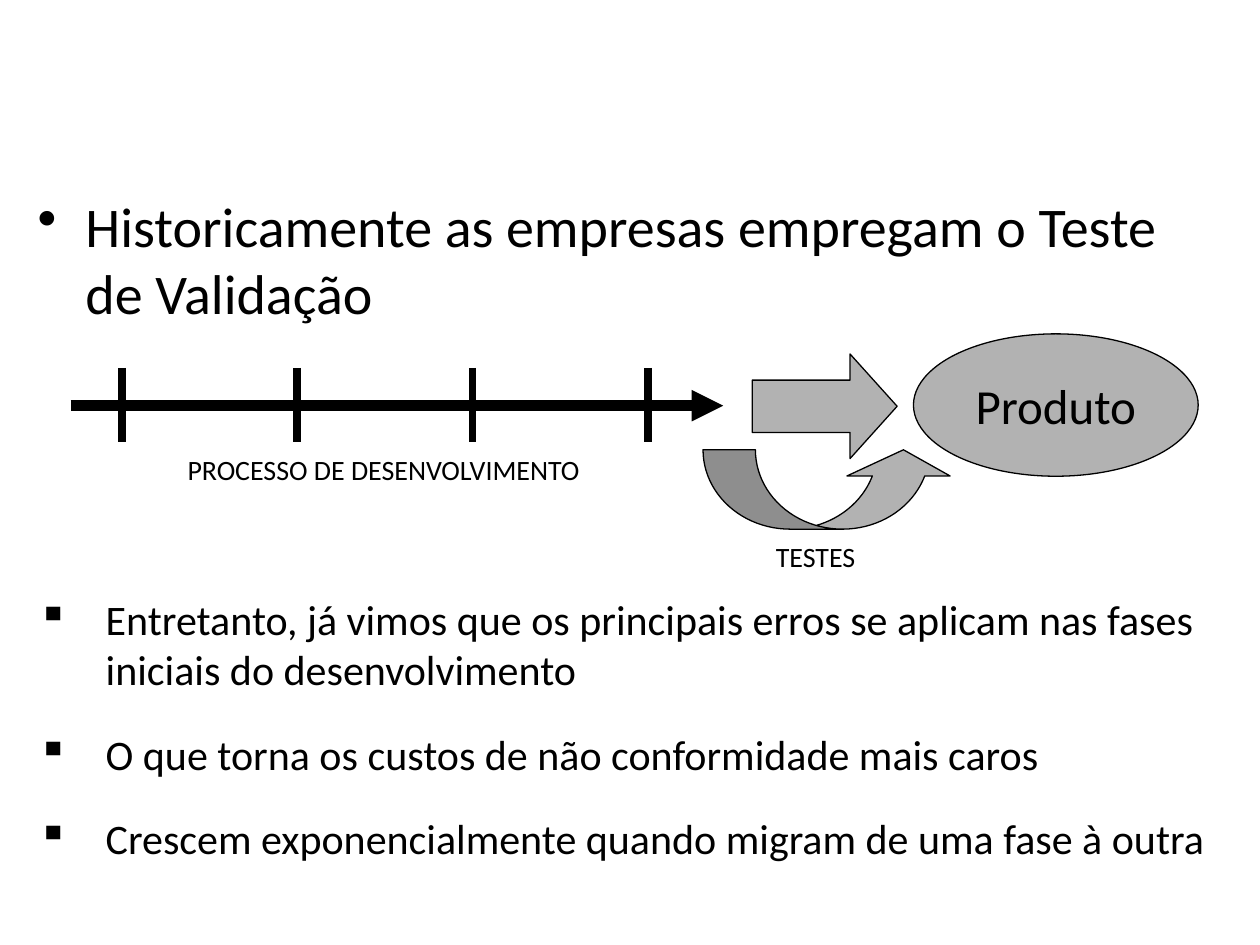
from lxml import etree
from pptx import Presentation
from pptx.dml.color import RGBColor
from pptx.enum.shapes import MSO_CONNECTOR, MSO_SHAPE
from pptx.enum.text import MSO_ANCHOR, MSO_AUTO_SIZE, PP_ALIGN
from pptx.oxml.ns import qn
from pptx.util import Inches, Pt

BLACK = RGBColor(0x00, 0x00, 0x00)
GRAY = RGBColor(0xB2, 0xB2, 0xB2)
STRAIGHT = MSO_CONNECTOR.STRAIGHT
ARROW = MSO_SHAPE.RIGHT_ARROW
CURVE = MSO_SHAPE.CURVED_UP_ARROW
OVAL = MSO_SHAPE.OVAL
TOP, MIDDLE = MSO_ANCHOR.TOP, MSO_ANCHOR.MIDDLE
CENTER = PP_ALIGN.CENTER
GROW = MSO_AUTO_SIZE.SHAPE_TO_FIT_TEXT
FONT = "Calibri"
POINTS = [
    "Entretanto, já vimos que os principais erros se aplicam nas fases "
    "iniciais do desenvolvimento",
    "O que torna os custos de não conformidade mais caros",
    "Crescem exponencialmente quando migram de uma fase à outra",
]


def style(font, size):
    """Set the common font in black at the given size."""
    font.name = FONT
    font.size = Pt(size)
    font.color.rgb = BLACK


def add_text(slide, box, lines, size, wrap=True):
    """Add a text box with one paragraph per line and return its paragraphs."""
    frame = slide.shapes.add_textbox(*map(Inches, box)).text_frame
    frame.word_wrap = wrap
    frame.vertical_anchor = TOP
    frame.text = "\n".join(lines)
    for para in frame.paragraphs:
        for run in para.runs:
            style(run.font, size)
    return frame


def add_list(slide, box, lines, size, mark, indent, before=0, after=0):
    """Add a bulleted list with hanging indents."""
    frame = add_text(slide, box, lines, size)
    for i, para in enumerate(frame.paragraphs):
        props = para._p.get_or_add_pPr()
        props.set("marL", str(Inches(indent)))
        props.set("indent", str(-Inches(indent)))
        color = etree.SubElement(props, qn("a:buClr"))
        etree.SubElement(color, qn("a:srgbClr"), val=str(BLACK))
        etree.SubElement(props, qn("a:buChar"), char=mark)
        para.space_before = Pt(before if i else 0)
        para.space_after = Pt(after)


def add_label(slide, box, text):
    """Add a small caption that does not wrap."""
    add_text(slide, box, [text], 16, wrap=False).auto_size = GROW


def add_line(slide, start, end, width, head=False):
    """Add a black line, with an arrowhead at its end if asked."""
    ends = map(Inches, (*start, *end))
    link = slide.shapes.add_connector(STRAIGHT, *ends)
    link.line.color.rgb = BLACK
    link.line.width = Pt(width)
    if head:
        line = link.line._get_or_add_ln()
        etree.SubElement(line, qn("a:tailEnd"), type="triangle")
    etree.SubElement(link._element.spPr, qn("a:effectLst"))


def add_form(slide, kind, box, adjust=()):
    """Add a gray shape with a thin black outline."""
    form = slide.shapes.add_shape(kind, *map(Inches, box))
    form.shadow.inherit = False
    form.fill.solid()
    form.fill.fore_color.rgb = GRAY
    form.line.color.rgb = BLACK
    form.line.width = Pt(0.75)
    for i, value in enumerate(adjust):
        form.adjustments[i] = value
    return form


def add_product(slide):
    """Add the product ellipse with its centred name."""
    frame = add_form(slide, OVAL, (7.25, 2.65, 2.26, 1.13)).text_frame
    frame.word_wrap = False
    frame.vertical_anchor = MIDDLE
    frame.text = "Produto"
    para = frame.paragraphs[0]
    para.alignment = CENTER
    style(para.runs[0].font, 28)


def add_process(slide):
    """Add the process axis with four evenly spaced marks."""
    add_line(slide, (0.56, 3.22), (5.74, 3.22), 6, head=True)
    for i in range(4):
        x = 0.97 + 1.39 * i
        add_line(slide, (x, 2.92), (x, 3.51), 4.5)


def main():
    """Build and save the slide."""
    deck = Presentation()
    deck.slide_width, deck.slide_height = Inches(10), Inches(7.5)
    slide = deck.slides.add_slide(deck.slide_layouts[6])
    add_list(slide, (0.2, 1.47, 9.6, 5.19),
             ["Historicamente as empresas empregam o Teste de Validação"],
             32, "•", 0.38)
    add_process(slide)
    add_form(slide, ARROW, (5.97, 2.81, 1.15, 0.83), (0.5, 0.45))
    add_product(slide)
    add_form(slide, CURVE, (5.58, 3.57, 2, 0.63), (0.66, 1.3, 0.33))
    add_label(slide, (6.06, 4.23, 0.83, 0.37), "TESTES")
    add_list(slide, (0.2, 4.66, 9.61, 2.13), POINTS, 24, "▪", 0.54, 7.5, 12)
    add_label(slide, (1.39, 3.54, 3.34, 0.37), "PROCESSO DE DESENVOLVIMENTO")
    deck.save("out.pptx")


if __name__ == "__main__":
    main()
